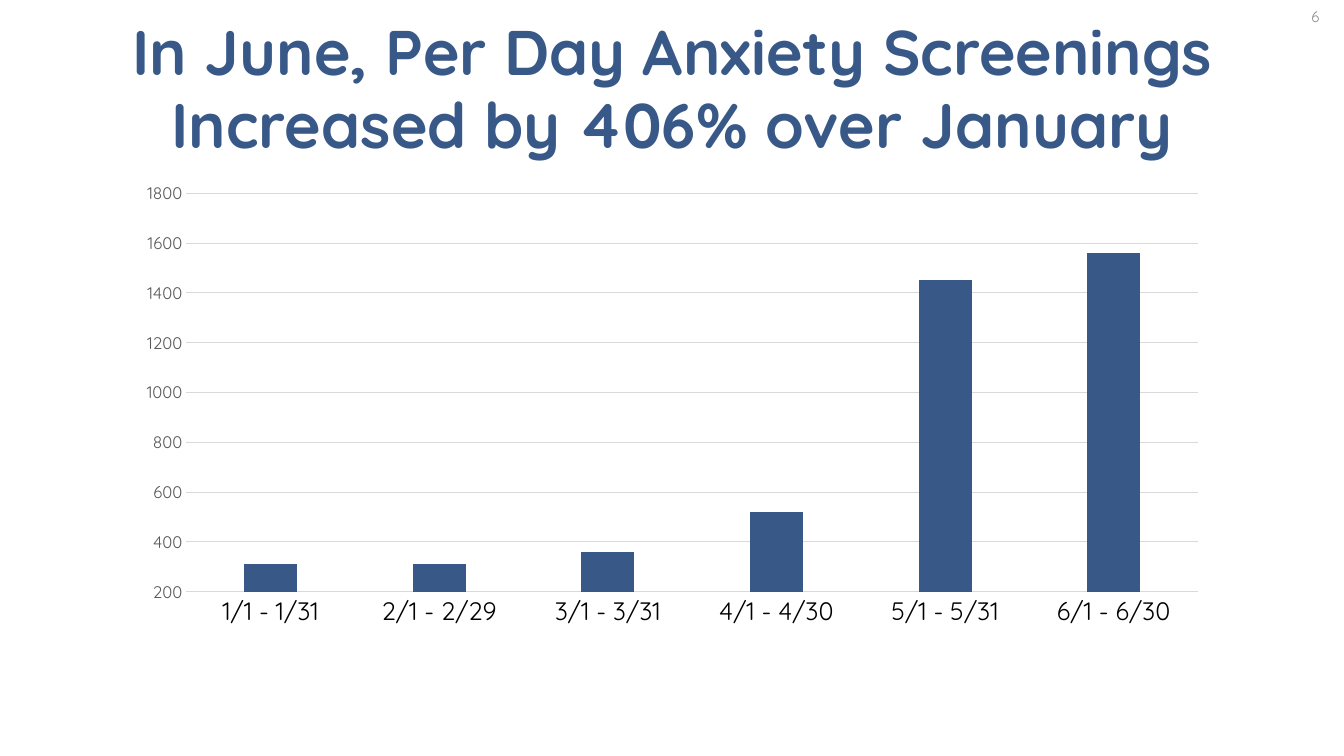
from dataclasses import dataclass

from lxml import etree
from pptx import Presentation
from pptx.chart.data import CategoryChartData
from pptx.dml.color import RGBColor
from pptx.enum.chart import XL_CHART_TYPE, XL_TICK_MARK
from pptx.enum.text import MSO_ANCHOR, PP_ALIGN
from pptx.oxml.ns import qn
from pptx.util import Inches, Pt

COLUMN = XL_CHART_TYPE.COLUMN_CLUSTERED
NO_TICK = XL_TICK_MARK.NONE
MIDDLE = MSO_ANCHOR.MIDDLE
CENTER = PP_ALIGN.CENTER

WIDTH, HEIGHT = Inches(13.33), Inches(7.5)
FONT = "Quicksand"
COLORS = {
    "blue": "385988",
    "black": "000000",
    "label": "595959",
    "grid": "D9D9D9",
    "number": "8C8C8C",
    "white": "FFFFFF",
}


@dataclass(frozen=True)
class Area:
    """Left, top, width and height as percentages of the slide."""
    x: float
    y: float
    w: float
    h: float

    def box(self) -> tuple[int, int, int, int]:
        return (int(WIDTH * self.x / 100), int(HEIGHT * self.y / 100),
                int(WIDTH * self.w / 100), int(HEIGHT * self.h / 100))


@dataclass(frozen=True)
class Label:
    text: str
    area: Area
    size: float
    color: str
    bold: bool = False
    spacing: float = 1.0


LABELS = [
    Label("In June, Per Day Anxiety Screenings Increased by 406% over January",
          Area(4.2, 7.07, 91.6, 9.6), 45, "blue", True, 0.97),
    Label("6", Area(95.72, 0, 4.28, 4.27), 10.7, "number"),
]

CHART_AREA = Area(9.3, 23.07, 81.47, 61.2)
PLOT_SHARES = {"x": 0.056, "y": 0.041, "w": 0.924, "h": 0.861}
SCREENINGS = {
    "1/1 - 1/31": 310,
    "2/1 - 2/29": 310,
    "3/1 - 3/31": 360,
    "4/1 - 4/30": 520,
    "5/1 - 5/31": 1450,
    "6/1 - 6/30": 1560,
}


def rgb(name: str) -> RGBColor:
    return RGBColor.from_string(COLORS[name])


def style_font(font, size: float, color: str, bold: bool = False) -> None:
    font.name, font.size, font.bold = FONT, Pt(size), bold
    font.color.rgb = rgb(color)


def style_line(line) -> None:
    line.color.rgb = rgb("grid")
    line.width = Pt(0.75)


def add_label(slide, label: Label) -> None:
    tf = slide.shapes.add_textbox(*label.area.box()).text_frame
    tf.word_wrap = True
    tf.vertical_anchor = MIDDLE
    p = tf.paragraphs[0]
    p.alignment = CENTER
    p.line_spacing = label.spacing
    r = p.add_run()
    r.text = label.text
    style_font(r.font, label.size, label.color, label.bold)


def place_plot(chart) -> None:
    """Fix the inner plot area by shares of the chart."""
    plot_area = chart.element.find(".//" + qn("c:plotArea"))
    layout = plot_area.find(qn("c:layout"))
    if layout is None:
        layout = etree.Element(qn("c:layout"))
        plot_area.insert(0, layout)
    manual = etree.SubElement(layout, qn("c:manualLayout"))
    settings = {"layoutTarget": "inner", "xMode": "edge", "yMode": "edge",
                **PLOT_SHARES}
    for tag, value in settings.items():
        etree.SubElement(manual, qn(f"c:{tag}")).set("val", str(value))


def add_screenings_chart(slide) -> None:
    data = CategoryChartData()
    data.categories = list(SCREENINGS)
    data.add_series("Series 1", list(SCREENINGS.values()))
    chart = slide.shapes.add_chart(COLUMN, *CHART_AREA.box(), data).chart
    chart.has_legend = False
    chart.has_title = False
    style_font(chart.font, 10, "black")
    place_plot(chart)

    # Columns
    plot = chart.plots[0]
    plot.vary_by_categories = False
    plot.gap_width, plot.overlap = 219, -27
    fill = plot.series[0].format.fill
    fill.solid()
    fill.fore_color.rgb = rgb("blue")

    # Axes
    dates, counts = chart.category_axis, chart.value_axis
    for axis, size, color in ((dates, 18, "black"), (counts, 12, "label")):
        axis.major_tick_mark = axis.minor_tick_mark = NO_TICK
        style_font(axis.tick_labels.font, size, color)
    style_line(dates.format.line)
    counts.format.line.fill.background()
    counts.minimum_scale, counts.maximum_scale = 200, 1800
    counts.major_unit = 200
    counts.has_major_gridlines = True
    style_line(counts.major_gridlines.format.line)


def main() -> None:
    prs = Presentation()
    prs.slide_width, prs.slide_height = WIDTH, HEIGHT
    slide = prs.slides.add_slide(prs.slide_layouts[6])
    slide.background.fill.solid()
    slide.background.fill.fore_color.rgb = rgb("white")

    # Title and slide number
    for label in LABELS:
        add_label(slide, label)

    # Screenings per day
    add_screenings_chart(slide)
    prs.save("out.pptx")


if __name__ == "__main__":
    main()
